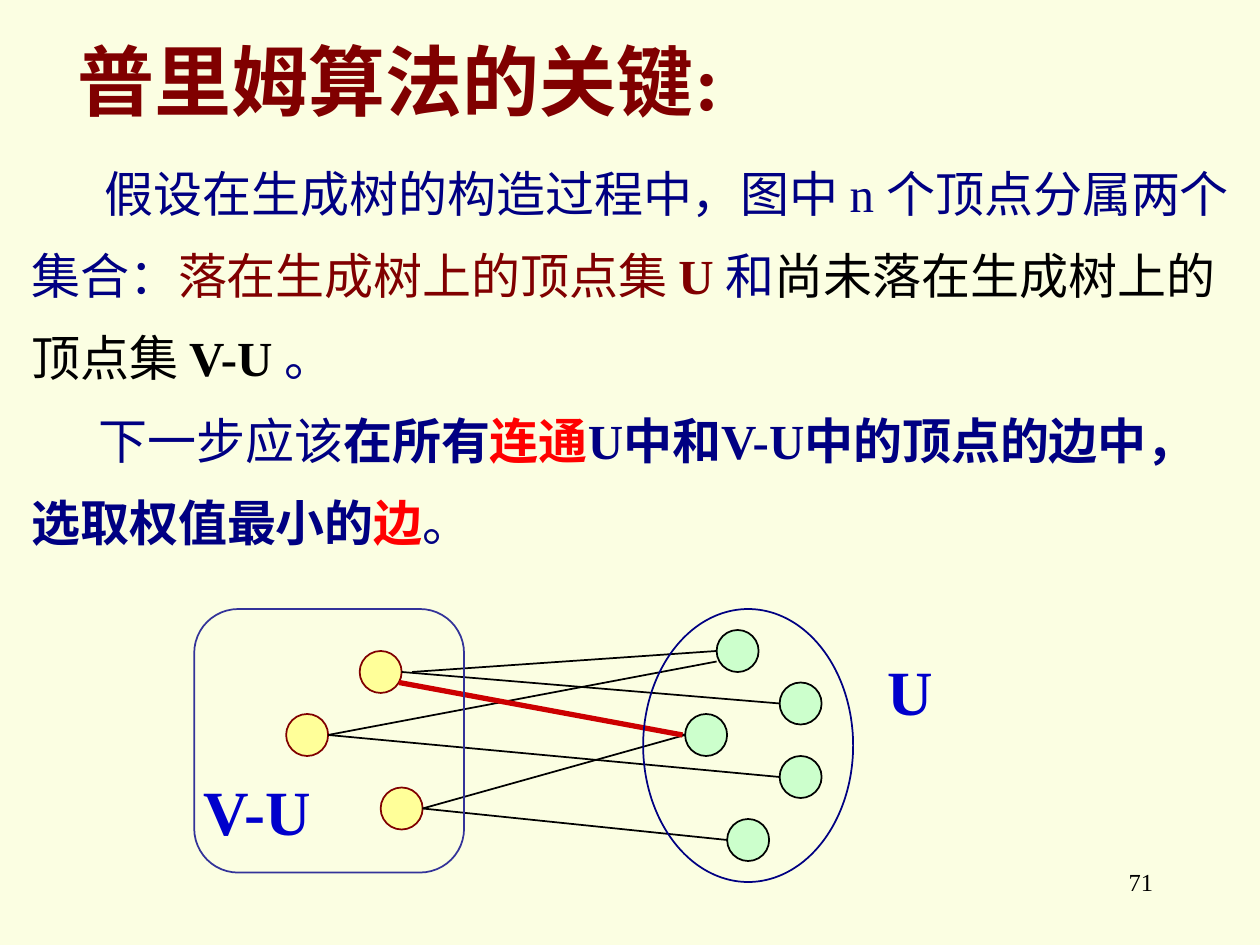
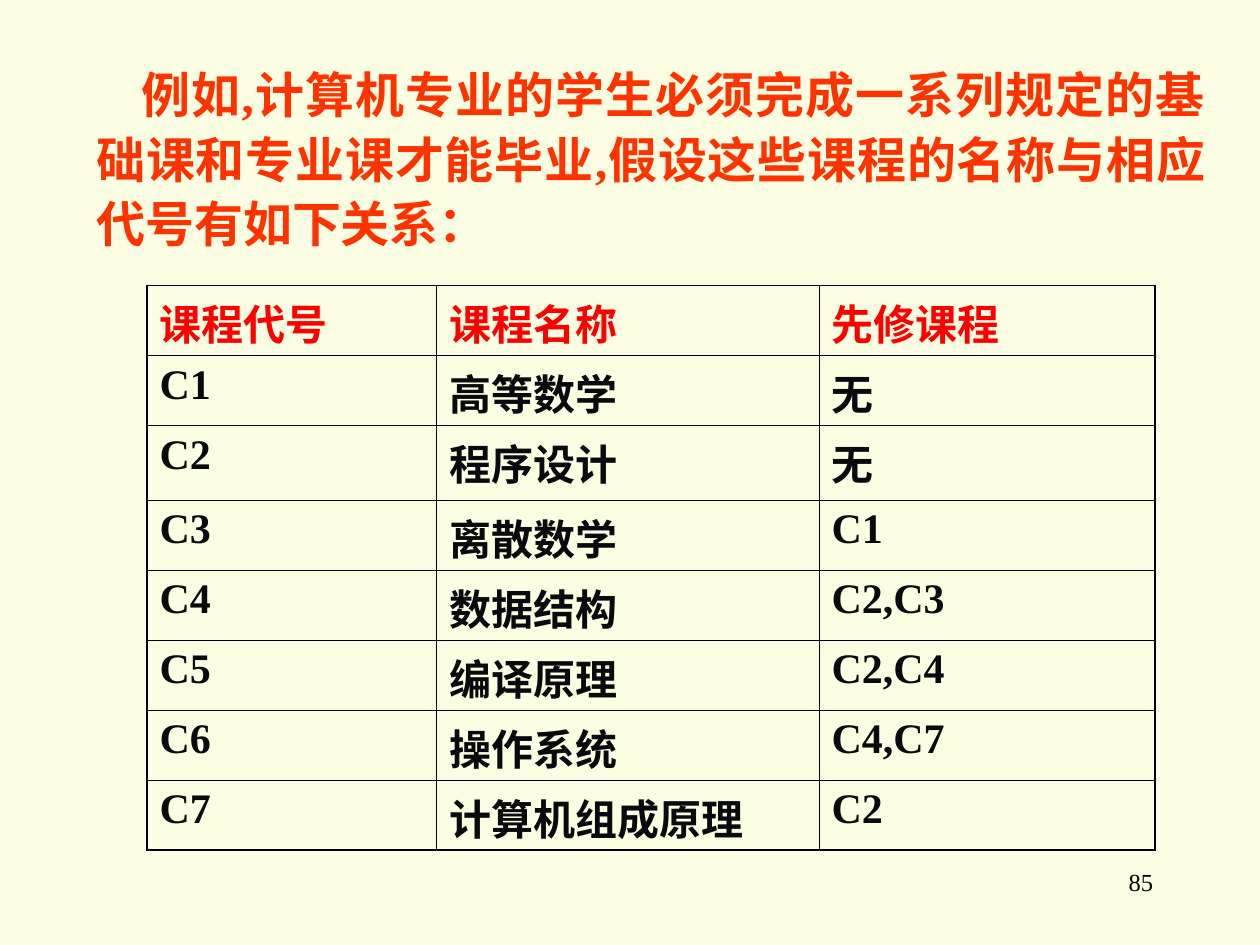
"""Build two slides: the key idea of Prim's algorithm and a table of courses."""
from typing import NamedTuple

from lxml.etree import SubElement
from pptx import Presentation
from pptx.dml.color import RGBColor
from pptx.enum.lang import MSO_LANGUAGE_ID as Language
from pptx.enum.shapes import MSO_CONNECTOR as Connector, MSO_SHAPE as Preset
from pptx.enum.text import PP_ALIGN as Align
from pptx.oxml.ns import qn
from pptx.util import Inches, Pt

WIDTH, HEIGHT = Inches(10), Inches(7.5)
COLUMNS, ROWS = 120, 90
NODE = 4
COLORS = {
    "paper": "FBFEE2", "black": "000000", "navy": "000082", "maroon": "800000",
    "red": "FF0000", "orange": "FF3300", "label": "0000CC", "ink": "0A0A0E",
    "chosen": "CC0000", "frame": "333399", "yellow": "FFFF99", "green": "CCFFCC",
}


class Box(NamedTuple):
    """Left, top, width and height in grid columns and rows."""
    left: float
    top: float
    width: float
    height: float


class Piece(NamedTuple):
    """A stretch of text with one colour and weight."""
    text: str
    color: str
    bold: bool = False


class Paragraph(NamedTuple):
    """Pieces of text with the format of their paragraph."""
    pieces: list[Piece]
    format: dict = {}
    indent: float = 0


class Node(NamedTuple):
    """A vertex circle at a grid position."""
    left: float
    top: float
    fill: str
    line: str


class Edge(NamedTuple):
    """A line between two vertices, with shifts of its two ends."""
    start: str
    end: str
    start_shift: tuple[float, float] = (0, 0)
    end_shift: tuple[float, float] = (0, 0)
    color: str = "black"
    weight: float = 1


PAGE_NUMBER = Box(86, 82, 25, 6)
NODES = {
    name: Node(column + 0.25, row, fill, line)
    for fill, line, places in (
        ("yellow", "maroon", {"a": (34, 62), "b": (27, 68), "c": (36, 75)}),
        ("green", "black", {"p": (68, 60), "q": (74, 65), "r": (65, 68),
                            "s": (74, 72), "t": (69, 78)}),
    )
    for name, (column, row) in places.items()
}
EDGES = [
    Edge("a", "p", (1, 0)),
    Edge("b", "s"),
    Edge("c", "t"),
    Edge("c", "r"),
    Edge("a", "q"),
    Edge("b", "p", (0, 0), (0, 1)),
    Edge("a", "r", (0, 1)),
    Edge("a", "r", (-0.25, 1), (-0.25, 0), "chosen", 3),
]
KEY_IDEA = [
    Paragraph([
        Piece("假设在生成树的构造过程中，图中 n 个顶点分属两个集合：", "navy"),
        Piece("落在生成树上的顶点集 ", "maroon"),
        Piece("U ", "maroon", True),
        Piece("和", "navy"),
        Piece("尚未落在生成树上的顶点集 ", "black"),
        Piece("V-U ", "black", True),
        Piece("。", "navy"),
    ], {"line_spacing": 1.4}, 7),
    Paragraph([
        Piece("下一步应该", "navy"),
        Piece("在所有", "navy", True),
        Piece("连通", "red", True),
        Piece("U中和V-U中的顶点的边中，选取权值最小的", "navy", True),
        Piece("边", "red", True),
        Piece("。", "navy"),
    ], {"line_spacing": 1.4}, 6.4),
]
INTRODUCTION = ("例如,计算机专业的学生必须完成一系列规定的基础课和专业课才能毕业,"
                "假设这些课程的名称与相应代号有如下关系：")
COURSES = [
    ("课程代号", "课程名称", "先修课程"),
    ("C1", "高等数学", "无"),
    ("C2", "程序设计", "无"),
    ("C3", "离散数学", "C1"),
    ("C4", "数据结构", "C2,C3"),
    ("C5", "编译原理", "C2,C4"),
    ("C6", "操作系统", "C4,C7"),
    ("C7", "计算机组成原理", "C2"),
]
COURSE_WIDTHS = (27.6, 36.4, 32)
COURSE_HEIGHTS = (6.67, 6.67, 7.1, 6.67, 6.67, 6.67, 6.67, 6.67)


def across(columns: float) -> int:
    """Turn grid columns into a length."""
    return round(WIDTH * columns / COLUMNS)


def down(rows: float) -> int:
    """Turn grid rows into a length."""
    return round(HEIGHT * rows / ROWS)


def place(box: Box) -> tuple[int, int, int, int]:
    """Turn a grid box into slide lengths."""
    return across(box.left), down(box.top), across(box.width), down(box.height)


def rgb(name: str) -> RGBColor:
    """Look up a named colour."""
    return RGBColor.from_string(COLORS[name])


def apply(target, values: dict) -> None:
    """Set attributes of an object from a dict."""
    for name, value in values.items():
        setattr(target, name, value)


def write(frame, paragraphs: list[Paragraph], size: float) -> None:
    """Fill a text frame with formatted paragraphs."""
    for number, content in enumerate(paragraphs):
        paragraph = frame.add_paragraph() if number else frame.paragraphs[0]
        apply(paragraph, content.format)
        if content.indent:
            paragraph._p.get_or_add_pPr().set("indent", str(across(content.indent)))
        for piece in content.pieces:
            run = paragraph.add_run()
            run.text = piece.text
            apply(run.font, {"name": "Times New Roman", "size": Pt(size), "bold": piece.bold,
                             "language_id": Language.SIMPLIFIED_CHINESE})
            run.font.color.rgb = rgb(piece.color)


def add_text(slide, box: Box, paragraphs: list[Paragraph], size: float, wrap: bool = True) -> None:
    """Add a text box."""
    frame = slide.shapes.add_textbox(*place(box)).text_frame
    frame.word_wrap = wrap
    write(frame, paragraphs, size)


def add_outline(slide, preset: Preset, box: Box, line: str, fill: str = ""):
    """Add a thin outlined shape, filled only when a fill is named."""
    shape = slide.shapes.add_shape(preset, *place(box))
    shape.shadow.inherit = False
    if fill:
        shape.fill.solid()
        shape.fill.fore_color.rgb = rgb(fill)
    else:
        shape.fill.background()
    shape.line.color.rgb = rgb(line)
    shape.line.width = Pt(1)
    return shape


def add_edge(slide, edge: Edge) -> None:
    """Join the right side of one vertex to the left side of another."""
    start, end = NODES[edge.start], NODES[edge.end]
    connector = slide.shapes.add_connector(
        Connector.STRAIGHT,
        across(start.left + NODE + edge.start_shift[0]),
        down(start.top + NODE / 2 + edge.start_shift[1]),
        across(end.left + edge.end_shift[0]),
        down(end.top + NODE / 2 + edge.end_shift[1]),
    )
    connector.line.color.rgb = rgb(edge.color)
    connector.line.width = Pt(edge.weight)
    SubElement(connector._element.spPr, qn("a:effectLst"))


def add_borders(cell, outer_sides: dict[str, bool]) -> None:
    """Draw cell borders, thicker on the outer sides of the table."""
    properties = cell._tc.get_or_add_tcPr()
    for position, (side, outer) in enumerate(outer_sides.items()):
        line = SubElement(properties, qn(f"a:ln{side}"), w=str(Pt(1.08 if outer else 0.45)))
        fill = SubElement(line, qn("a:solidFill"))
        SubElement(fill, qn("a:srgbClr"), val=COLORS["black"])
        properties.insert(position, line)


def add_courses(slide, box: Box) -> None:
    """Add the table of courses and their prerequisites."""
    last_row, last_column = len(COURSES) - 1, len(COURSE_WIDTHS) - 1
    table = slide.shapes.add_table(last_row + 1, last_column + 1, *place(box)).table
    for column, width in zip(table.columns, COURSE_WIDTHS):
        column.width = across(width)
    for row, height in zip(table.rows, COURSE_HEIGHTS):
        row.height = down(height)
    for row, course in enumerate(COURSES):
        for column, text in enumerate(course):
            cell = table.cell(row, column)
            cell.fill.background()
            piece = Piece(text, "ink" if row else "red", True)
            write(cell.text_frame, [Paragraph([piece], {"alignment": Align.JUSTIFY})], 24)
            add_borders(cell, {"L": column == 0, "R": column == last_column,
                               "T": row == 0, "B": row == last_row})


def add_page(presentation, number: int):
    """Add a blank slide with the shared background and page number."""
    slide = presentation.slides.add_slide(presentation.slide_layouts[6])
    slide.background.fill.solid()
    slide.background.fill.fore_color.rgb = rgb("paper")
    piece = Piece(str(number), "black")
    add_text(slide, PAGE_NUMBER, [Paragraph([piece], {"alignment": Align.RIGHT})], 14)
    return slide


def build_key_slide(presentation) -> None:
    """Explain the algorithm with text and a diagram of two vertex sets."""
    slide = add_page(presentation, 71)
    add_text(slide, Box(1.8, 12.7, 117, 41.3), KEY_IDEA, 28)
    for node in NODES.values():
        add_outline(slide, Preset.OVAL, Box(node.left, node.top, NODE, NODE), node.line, node.fill)
    for edge in EDGES:
        add_edge(slide, edge)
    outside = add_outline(slide, Preset.ROUNDED_RECTANGLE, Box(18.5, 58, 25.7, 25.1), "frame")
    outside.adjustments[0] = 0.167
    add_outline(slide, Preset.OVAL, Box(61.25, 58, 20, 26), "navy")
    for text, box, color, size in (
        ("V-U", Box(18.25, 73, 13, 8.4), "label", 36),
        ("U", Box(83.3, 61.6, 8, 8.4), "label", 36),
        ("普里姆算法的关键:", Box(6.25, 2.6, 65.3, 10.1), "maroon", 44),
    ):
        add_text(slide, box, [Paragraph([Piece(text, color, True)])], size, wrap=text == "U")


def build_course_slide(presentation) -> None:
    """Introduce the courses and list them in a table."""
    slide = add_page(presentation, 85)
    add_courses(slide, Box(14, 27.2, sum(COURSE_WIDTHS), sum(COURSE_HEIGHTS)))
    introduction = Paragraph([Piece(INTRODUCTION, "orange", True)],
                             {"alignment": Align.JUSTIFY, "line_spacing": 1.1}, 4.3)
    add_text(slide, Box(8, 5, 108, 19.7), [introduction], 28)


def main() -> None:
    """Build and save the presentation."""
    presentation = Presentation()
    apply(presentation, {"slide_width": WIDTH, "slide_height": HEIGHT})
    build_key_slide(presentation)
    build_course_slide(presentation)
    presentation.save("out.pptx")


if __name__ == "__main__":
    main()
